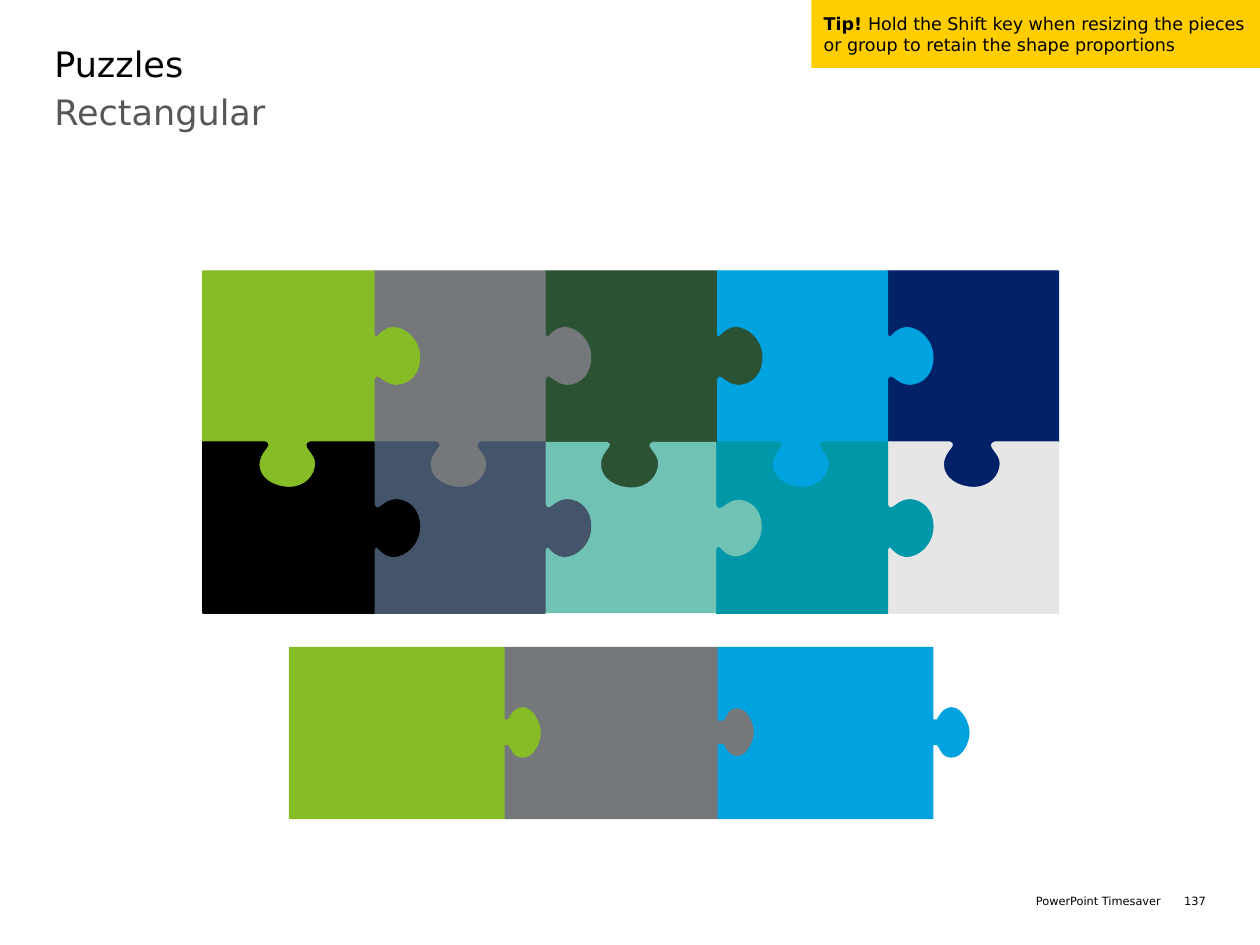
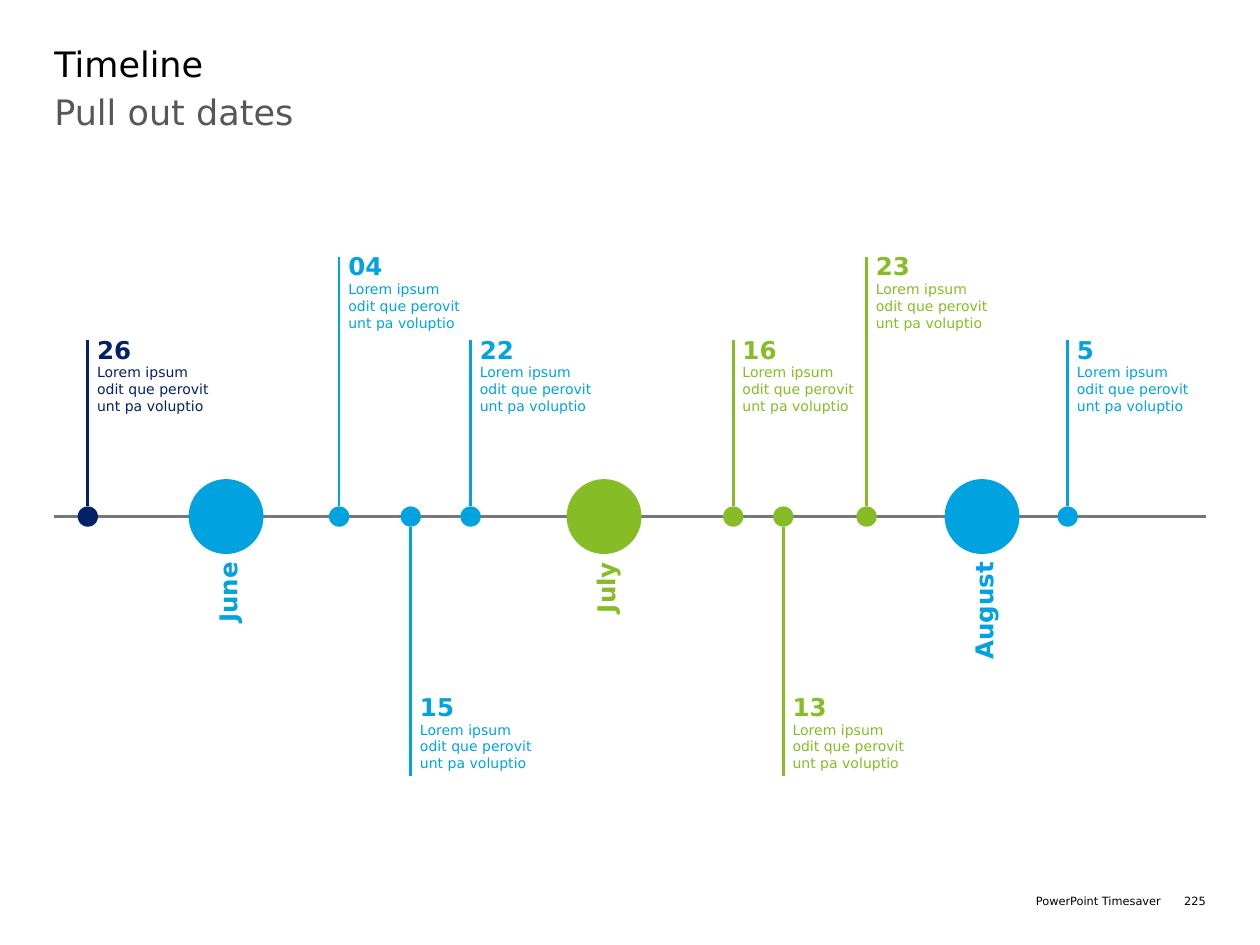
from pptx import Presentation
from pptx.dml.color import RGBColor
from pptx.enum.shapes import MSO_CONNECTOR, MSO_SHAPE
from pptx.enum.text import MSO_ANCHOR, PP_ALIGN
from pptx.oxml.ns import qn
from pptx.util import Pt
from lxml import etree

RECT, OVAL = MSO_SHAPE.RECTANGLE, MSO_SHAPE.OVAL
LINE = MSO_CONNECTOR.STRAIGHT
LEFT, RIGHT = PP_ALIGN.LEFT, PP_ALIGN.RIGHT
MIDDLE = MSO_ANCHOR.MIDDLE

FONT = "DejaVu Sans"
BLACK = RGBColor(0x00, 0x00, 0x00)
SLATE = RGBColor(0x57, 0x57, 0x57)
GREEN = RGBColor(0x86, 0xBC, 0x25)
GREY = RGBColor(0x75, 0x78, 0x7B)
FOREST = RGBColor(0x2C, 0x52, 0x34)
BLUE = RGBColor(0x00, 0xA3, 0xE0)
NAVY = RGBColor(0x01, 0x21, 0x69)
STEEL = RGBColor(0x44, 0x54, 0x6A)
AQUA = RGBColor(0x6F, 0xC2, 0xB4)
TEAL = RGBColor(0x00, 0x97, 0xA9)
PALE = RGBColor(0xE7, 0xE6, 0xE6)
YELLOW = RGBColor(0xFF, 0xCD, 0x00)

# Edge curves: a start, then line ends (2 numbers) or Bezier curves (6).
KNOB = [(0, 36), (1.4, 41.8, 2.9, 33.1, 10.8, 32.4),
        (18, 32.4, 26, 39.6, 26, 49.5), (26, 59, 20, 64.3, 13, 64.8),
        (5, 64.8, 2.2, 56.2, 0, 61.9)]
TAB = [(61.5, 0), (55.8, 2, 64.8, 5.8, 64.6, 12.5),
       (64.4, 19.5, 58.5, 26, 49.5, 26), (40.5, 26, 32, 21, 32, 13),
       (32, 4.5, 40.5, 2, 35.5, 0)]
PEG = [(0, 41.5), (2.7, 41.5), (2.7, 41.5, 5.5, 34.5, 10.8, 34.5),
       (16.6, 34.5, 20.7, 43.5, 20.7, 48.8), (20.7, 53.3, 17.3, 62.6, 10.8, 62.6),
       (4.8, 62.6, 4.5, 57, 2.7, 55.5), (0, 55.5)]

SIDE = 97.8
WIDE = 122.5
GRID_X, GRID_Y = 115.9, 154.8
STRIP_X, STRIP_Y = 165.5, 370
AXIS = 295.2
TALL, SHORT, DOWN = 146.9, 194.4, 443.5
NOTE = ["Lorem ipsum", "odit que perovit", "unt pa voluptio"]


def style(para, size, color, bold=False, align=LEFT):
    para.alignment = align
    font = para.font
    font.name, font.size, font.bold = FONT, Pt(size), bold
    font.color.rgb = color


def write(slide, box, lines, color, align=LEFT):
    """Add a text box; each line is (text, size, bold)."""
    shape = slide.shapes.add_textbox(*map(Pt, box))
    frame = shape.text_frame
    frame.word_wrap = True
    frame.margin_left = frame.margin_right = 0
    frame.margin_top = frame.margin_bottom = 0
    for i, (text, size, bold) in enumerate(lines):
        para = frame.add_paragraph() if i else frame.paragraphs[0]
        para.text = text
        style(para, size, color, bold, align)
    return shape


def paint(shape, fill, edge=None):
    shape.shadow.inherit = False
    shape.fill.solid()
    shape.fill.fore_color.rgb = fill
    if edge:
        shape.line.color.rgb = edge
        shape.line.width = Pt(0.75)
    else:
        shape.line.fill.background()


def rule(slide, x1, y1, x2, y2, color):
    line = slide.shapes.add_connector(LINE, Pt(x1), Pt(y1), Pt(x2), Pt(y2))
    line.line.color.rgb = color
    line.line.width = Pt(1.5)
    etree.SubElement(line._element.spPr, qn("a:effectLst"))


def disc(slide, x, size, color):
    """Add a circle centred on the time axis."""
    shape = slide.shapes.add_shape(
        OVAL, Pt(x - size / 2), Pt(AXIS - size / 2), Pt(size), Pt(size))
    paint(shape, color)


def move(curve, dx, dy, sign=1):
    """Shift a curve, and turn it upside down if sign is -1."""
    return [tuple(dy + sign * v if i % 2 else dx + v for i, v in enumerate(seg))
            for seg in curve]


def bend(shape, curve):
    """Join the three line ends of each Bezier segment into one curve."""
    route = shape._element.find(".//" + qn("a:path"))
    ends = iter(route.findall(qn("a:lnTo")))
    for seg in curve[1:]:
        group = [next(ends) for _ in range(len(seg) // 2)]
        if len(group) == 3:
            arc = route.makeelement(qn("a:cubicBezTo"))
            group[0].addprevious(arc)
            for end in group:
                arc.append(end[0])
                route.remove(end)


def piece(slide, x, y, curve, color, edge=True):
    pts = [(Pt(x + seg[i]), Pt(y + seg[i + 1]))
           for seg in curve for i in range(0, len(seg), 2)]
    form = slide.shapes.build_freeform(*pts[0])
    form.add_line_segments(pts[1:], close=True)
    shape = form.convert_to_shape()
    bend(shape, curve)
    paint(shape, color, color if edge else None)


def grid_form(low, last):
    """Outline a square piece; the low row mirrors the top, with a notch for the tab."""
    knob = [] if last else move(KNOB, SIDE, 0)
    tab = move(TAB, 0, SIDE, -1 if low else 1)
    curve = [(0, 0), (SIDE, 0), *knob, (SIDE, SIDE), *tab, (0, SIDE)]
    return move(curve, 0, SIDE, -1) if low else curve


def strip_form(first):
    """Outline a wide piece; all but the first have a notch for the peg."""
    notch = [] if first else move(PEG, 0, 97, -1)
    return [(0, 0), (WIDE, 0), *move(PEG, WIDE, 0), (WIDE, SIDE), (0, SIDE), *notch]


def tip(slide, lead, text):
    shape = slide.shapes.add_shape(RECT, Pt(463.6), 0, Pt(256.4), Pt(38.9))
    paint(shape, YELLOW)
    frame = shape.text_frame
    frame.word_wrap = True
    frame.vertical_anchor = MIDDLE
    frame.margin_left = frame.margin_right = Pt(7.2)
    frame.margin_top = frame.margin_bottom = Pt(7.2)
    para = frame.paragraphs[0]
    style(para, 10, BLACK)
    run = para.add_run()
    run.text = lead
    run.font.bold = True
    para.add_run().text = text


def month(slide, name, x, color):
    disc(slide, x, 42.8, color)
    label = write(slide, (x - 37.8, 351.4, 76.3, 15.8),
                  [(name, 14, True)], color, RIGHT)
    label.rotation = 270


def event(slide, day, x, end, color):
    """Add a dot, its stem and the note beside the stem's end."""
    up = end < AXIS
    disc(slide, x, 11.6, color)
    rule(slide, x, AXIS + (-5.8 if up else 5.8), x, end, color)
    top = end - (3.2 if up else 48.2)
    lines = [(day, 14, True)] + [(text, 8, False) for text in NOTE]
    write(slide, (x + 5.3, top, 76.3, 44), lines, color)


def base(deck, title, sub, number):
    """Add a slide with its title, subtitle and footer."""
    slide = deck.slides.add_slide(deck.slide_layouts[6])
    write(slide, (31, 24, 657.5, 27), [(title, 20, False)], BLACK)
    write(slide, (31, 52, 657.5, 36), [(sub, 20, False)], SLATE)
    write(slide, (374.4, 511.2, 289, 8), [("PowerPoint Timesaver", 6.5, False)],
          BLACK, RIGHT)
    write(slide, (661.7, 511.2, 27.3, 26), [(number, 6.5, False)], BLACK, RIGHT)
    return slide


def puzzle(deck):
    slide = base(deck, "Puzzles", "Rectangular", "137")
    strip = [GREEN, GREY, BLUE]
    for i in (1, 2, 0):
        piece(slide, STRIP_X + i * WIDE, STRIP_Y, strip_form(i == 0), strip[i])
    rows = [[GREEN, GREY, FOREST, BLUE, NAVY], [BLACK, STEEL, AQUA, TEAL, PALE]]
    for col in reversed(range(5)):
        for row in range(2):
            color = rows[row][col]
            piece(slide, GRID_X + col * SIDE, GRID_Y + row * SIDE,
                  grid_form(row == 1, col == 4), color, color != AQUA)
    tip(slide, "Tip! ", "Hold the Shift key when resizing the pieces "
        "or group to retain the shape proportions")


def dates(deck):
    slide = base(deck, "Timeline", "Pull out dates", "225")
    rule(slide, 31, AXIS, 689, AXIS, GREY)
    months = [("June", BLUE), ("July", GREEN), ("August", BLUE)]
    for i, (name, color) in enumerate(months):
        month(slide, name, 129.2 + 216 * i, color)
    for mark in [("26", 50.2, SHORT, NAVY), ("04", 193.8, TALL, BLUE),
                 ("15", 234.7, DOWN, BLUE), ("22", 268.9, SHORT, BLUE),
                 ("16", 419, SHORT, GREEN), ("13", 447.6, DOWN, GREEN),
                 ("23", 495.2, TALL, GREEN), ("5", 610.1, SHORT, BLUE)]:
        event(slide, *mark)


def main():
    deck = Presentation()
    deck.slide_width, deck.slide_height = Pt(720), Pt(540)
    puzzle(deck)
    dates(deck)
    deck.save("out.pptx")


if __name__ == "__main__":
    main()
